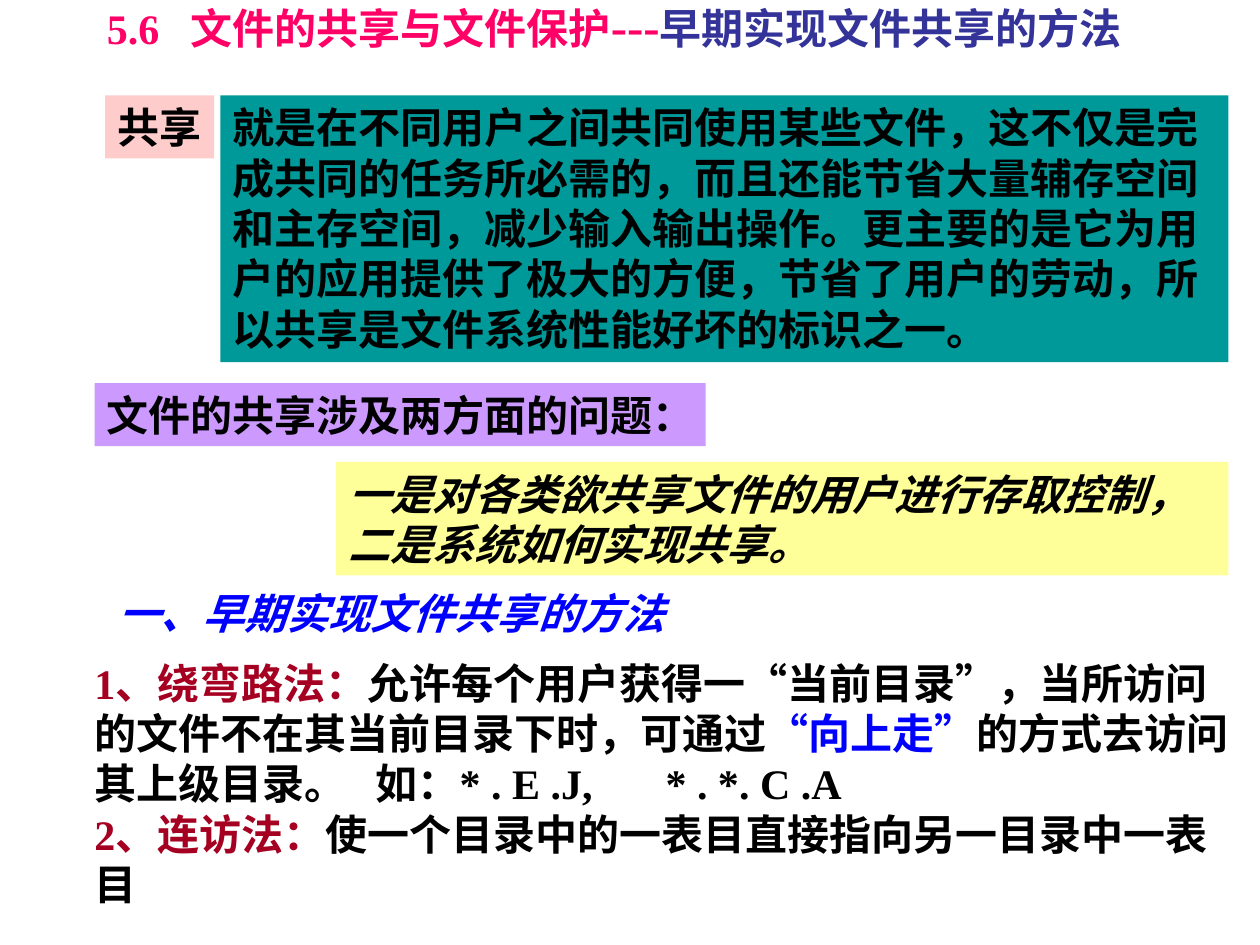
import dataclasses

import lxml.etree
import pptx
import pptx.dml.color
import pptx.enum.shapes
import pptx.enum.text
import pptx.oxml.ns
import pptx.util

RGBColor = pptx.dml.color.RGBColor
BLACK = RGBColor(0x00, 0x00, 0x00)
WHITE = RGBColor(0xFF, 0xFF, 0xFF)
BLUE = RGBColor(0x00, 0x00, 0xFF)
PINK = RGBColor(0xFF, 0x00, 0x66)
INDIGO = RGBColor(0x33, 0x33, 0x99)
CRIMSON = RGBColor(0xA5, 0x00, 0x21)
ROSE = RGBColor(0xFF, 0xCC, 0xCC)
TEAL = RGBColor(0x00, 0x99, 0x99)
VIOLET = RGBColor(0xCC, 0x99, 0xFF)
YELLOW = RGBColor(0xFF, 0xFF, 0x99)

FONT = "Times New Roman"
COLUMNS, ROWS = 120, 90
WIDTH, HEIGHT = pptx.util.Inches(10), pptx.util.Inches(7.5)


@dataclasses.dataclass
class Box:
    """A rectangle measured in grid columns and rows."""

    left: float
    top: float
    width: float
    height: float

    def inner(self, left, top, width, height):
        """Return a box placed relative to this one."""
        return Box(self.left + left, self.top + top, width, height)

    def place(self):
        """Return the position and size in slide units."""
        column, row = WIDTH / COLUMNS, HEIGHT / ROWS
        return (round(self.left * column), round(self.top * row),
                round(self.width * column), round(self.height * row))


def add_tabs(paragraph, columns):
    """Give a paragraph left tab stops at the given grid columns."""
    qn = pptx.oxml.ns.qn
    properties = paragraph._p.get_or_add_pPr()
    tab_list = lxml.etree.SubElement(properties, qn("a:tabLst"))
    for column in columns:
        position = str(round(column * WIDTH / COLUMNS))
        lxml.etree.SubElement(tab_list, qn("a:tab"), pos=position, algn="l")


def add_text(slide, box, paragraphs, fill=None, wrap=True, italic=False, tabs=()):
    """Add paragraphs of (text, colour[, size]) runs, on a filled panel if asked."""
    if fill is None:
        shape = slide.shapes.add_textbox(*box.place())
    else:
        rectangle = pptx.enum.shapes.MSO_SHAPE.RECTANGLE
        shape = slide.shapes.add_shape(rectangle, *box.place())
        shape.shadow.inherit = False
        shape.fill.solid()
        shape.fill.fore_color.rgb = fill
        shape.line.fill.background()
    frame = shape.text_frame
    frame.word_wrap = wrap
    frame.auto_size = pptx.enum.text.MSO_AUTO_SIZE.SHAPE_TO_FIT_TEXT
    frame.vertical_anchor = pptx.enum.text.MSO_ANCHOR.TOP
    for index, runs in enumerate(paragraphs):
        paragraph = frame.add_paragraph() if index else frame.paragraphs[0]
        paragraph.alignment = pptx.enum.text.PP_ALIGN.LEFT
        if tabs:
            add_tabs(paragraph, tabs)
        for text, color, *size in runs:
            run = paragraph.add_run()
            run.text = text
            run.font.name = FONT
            run.font.size = pptx.util.Pt(size[0] if size else 24)
            run.font.bold = True
            run.font.italic = italic
            run.font.color.rgb = color


def add_title(slide, box):
    """Add the section title line."""
    runs = [("5.6\t文件的共享与文件保护", PINK), ("---", PINK, 28),
            ("早期实现文件共享的方法", INDIGO)]
    add_text(slide, box, [runs], tabs=[8])


def add_definition(slide, box):
    """Add the term and its definition side by side."""
    add_text(slide, box.inner(0, 0, 10.4, 6), [[("共享", BLACK)]], fill=ROSE, wrap=False)
    definition = (
        "就是在不同用户之间共同使用某些文件，这不仅是完成共同的任务所必需的，"
        "而且还能节省大量辅存空间和主存空间，减少输入输出操作。"
        "更主要的是它为用户的应用提供了极大的方便，节省了用户的劳动，"
        "所以共享是文件系统性能好坏的标识之一。")
    add_text(slide, box.inner(11, 0, box.width - 11, box.height),
             [[(definition, BLACK)]], fill=TEAL)


def add_issues(slide, box):
    """Add the heading and the two issues of file sharing."""
    add_text(slide, box.inner(0, 0, 58.2, 6),
             [[("文件的共享涉及两方面的问题：", BLACK)]], fill=VIOLET, wrap=False)
    issues = ["一是对各类欲共享文件的用户进行存取控制，", "二是系统如何实现共享。"]
    add_text(slide, box.inner(23, 7.5, box.width - 23, box.height - 7.5),
             [[(issue, BLACK)] for issue in issues], fill=YELLOW, italic=True)


def add_methods(slide, box):
    """Add the heading and the early sharing methods."""
    add_text(slide, box.inner(2.3, 0, 60.8, 6),
             [[("一、早期实现文件共享的方法", BLUE)]], italic=True)
    detour = [
        ("1、绕弯路法：", CRIMSON),
        ("允许每个用户获得一“当前目录”，当所访问的文件不在其当前目录下时，可通过", BLACK),
        ("“向上走”", BLUE),
        ("的方式去访问其上级目录。\t如：* . E .J,\t* . *. C .A", BLACK)]
    link = [("2、连访法：", CRIMSON),
            ("使一个目录中的一表目直接指向另一目录中一表目", BLACK)]
    add_text(slide, box.inner(0, 6.6, box.width, box.height - 6.6),
             [detour, link], tabs=[26.8, 54.4])


def main():
    """Build and save the slide."""
    presentation = pptx.Presentation()
    presentation.slide_width, presentation.slide_height = WIDTH, HEIGHT
    slide = presentation.slides.add_slide(presentation.slide_layouts[6])
    slide.background.fill.solid()
    slide.background.fill.fore_color.rgb = WHITE
    add_title(slide, Box(9, -1, 108, 6.8))
    add_definition(slide, Box(10, 9.1, 107, 25.4))
    add_issues(slide, Box(9, 36.5, 108, 18.3))
    add_methods(slide, Box(7.8, 55.4, 112.2, 32))
    presentation.save("out.pptx")


if __name__ == "__main__":
    main()
